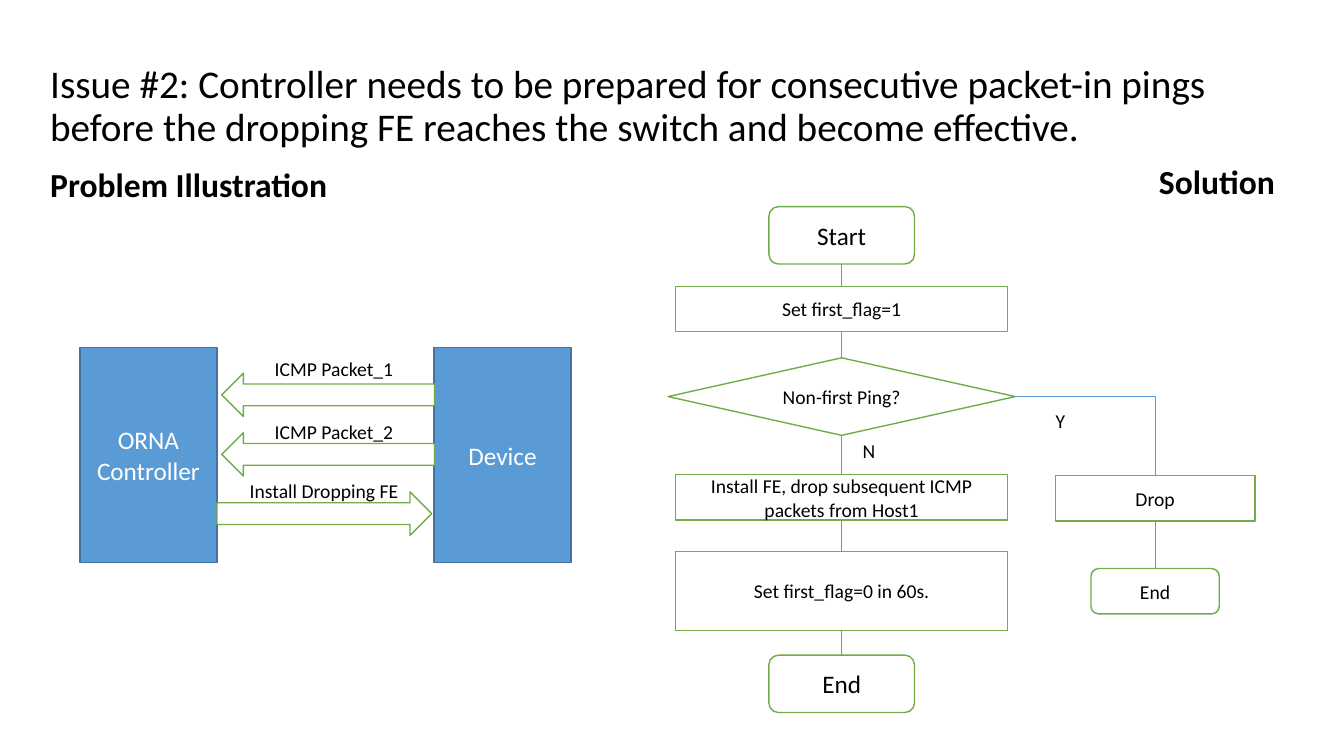
from itertools import pairwise

from pptx import Presentation
from pptx.dml.color import RGBColor
from pptx.enum.shapes import MSO_CONNECTOR as Connector, MSO_SHAPE as Shape
from pptx.enum.text import MSO_ANCHOR as Anchor, PP_ALIGN as Align
from pptx.oxml import parse_xml
from pptx.oxml.ns import nsdecls
from pptx.util import Pt


class Theme:
    font = "Calibri"
    black = RGBColor.from_string("000000")
    white = RGBColor.from_string("FFFFFF")
    blue = RGBColor.from_string("5B9BD5")
    dark_blue = RGBColor.from_string("43739E")
    green = RGBColor.from_string("70AD47")
    title, heading, large, body = 28, 24, 18, 14


presentation = Presentation()
presentation.slide_width, presentation.slide_height = Pt(960), Pt(540)
slide = presentation.slides.add_slide(presentation.slide_layouts[6])


def write(shape, text, size, color=Theme.black, bold=False,
          align=Align.CENTER, anchor=Anchor.MIDDLE, wrap=True):
    frame = shape.text_frame
    frame.word_wrap = wrap
    frame.vertical_anchor = anchor
    paragraph = frame.paragraphs[0]
    paragraph.text = text
    paragraph.alignment = align
    font = paragraph.font
    font.name, font.size, font.bold = Theme.font, Pt(size), bold
    font.color.rgb = color
    return paragraph


def add_block(kind, left, top, width, height, fill=Theme.white, line=Theme.green):
    shape = slide.shapes.add_shape(kind, Pt(left), Pt(top), Pt(width), Pt(height))
    shape.shadow.inherit = False
    shape.fill.solid()
    shape.fill.fore_color.rgb = fill
    shape.line.color.rgb = line
    shape.line.width = Pt(1)
    return shape


# Title and section headings
title = slide.shapes.add_textbox(Pt(28.8), Pt(3.8), Pt(848), Pt(145.4))
write(title, "Issue #2: Controller needs to be prepared for consecutive packet-in "
      "pings before the dropping FE reaches the switch and become effective.",
      Theme.title, align=Align.LEFT).line_spacing = 0.9
for text, left, top, width in [
    ("Problem Illustration", 28.8, 113.8, 224),
    ("Solution", 820.8, 111.2, 130),
]:
    heading = slide.shapes.add_textbox(Pt(left), Pt(top), Pt(width), Pt(36))
    write(heading, text, Theme.heading, bold=True, align=Align.LEFT, anchor=Anchor.TOP)

# Controller and device
for text, left in [("ORNA Controller", 57), ("Device", 310)]:
    node = add_block(Shape.RECTANGLE, left, 248, 98, 154, Theme.blue, Theme.dark_blue)
    write(node, text, Theme.large, Theme.white)

# Messages between them
for kind, left, top, width in [
    (Shape.LEFT_ARROW, 158.4, 266.6, 152),
    (Shape.LEFT_ARROW, 158.4, 309.1, 152),
    (Shape.RIGHT_ARROW, 155, 351.4, 153.4),
]:
    add_block(kind, left, top, width, 31)

# Labels of messages and branches
for text, center, top, width in [
    ("ICMP Packet_1", 238.6, 251.3, 103),
    ("ICMP Packet_2", 238.6, 296.6, 103),
    ("Install Dropping FE", 231.5, 338.4, 122),
    ("N", 620.6, 310.3, 24),
    ("Y", 757.4, 288.3, 22),
]:
    label = slide.shapes.add_textbox(Pt(center - width / 2), Pt(top), Pt(width), Pt(24.5))
    write(label, text, Theme.body, anchor=Anchor.TOP, wrap=False)

# Flowchart steps, each column centred on its axis
main_axis, drop_axis = 601.2, 825.1
main_steps = [
    ("Start", Shape.ROUNDED_RECTANGLE, 147.6, 104, 41, Theme.large),
    ("Set first_flag=1", Shape.RECTANGLE, 204.5, 237, 32.4, Theme.body),
    ("Non-first Ping?", Shape.FLOWCHART_DECISION, 255.6, 248, 55.4, Theme.body),
    ("Install FE, drop subsequent ICMP packets from Host1",
     Shape.RECTANGLE, 339.1, 237, 32.4, Theme.body),
    ("Set first_flag=0 in 60s.", Shape.RECTANGLE, 393.8, 237, 56.5, Theme.body),
    ("End", Shape.ROUNDED_RECTANGLE, 468, 104, 41, Theme.large),
]
drop_steps = [
    ("Drop", Shape.RECTANGLE, 339.8, 142.6, 32.4, Theme.body),
    ("End", Shape.ROUNDED_RECTANGLE, 406.1, 91.6, 32.4, Theme.body),
]
columns = []
for axis, steps in [(main_axis, main_steps), (drop_axis, drop_steps)]:
    column = []
    for text, kind, top, width, height, size in steps:
        step = add_block(kind, axis - width / 2, top, width, height)
        write(step, text, size)
        column.append(step)
    columns.append(column)

# Connectors glued to the steps; sites run top 0, left 1, bottom 2, right 3
main_column, drop_column = columns
links = [(Connector.STRAIGHT, upper, 2, lower)
         for column in columns for upper, lower in pairwise(column)]
links.append((Connector.ELBOW, main_column[2], 3, drop_column[0]))
for kind, source, site, target in links:
    connector = slide.shapes.add_connector(kind, 0, 0, 0, 0)
    connector.begin_connect(source, site)
    connector.end_connect(target, 0)
    connector.line.color.rgb = Theme.blue
    connector.line.width = Pt(0.5)
    properties = connector._element.spPr
    properties.append(parse_xml(f"<a:effectLst {nsdecls('a')}/>"))
    if kind == Connector.ELBOW:  # a single bend
        properties.prstGeom.set("prst", "bentConnector2")

presentation.save("out.pptx")
